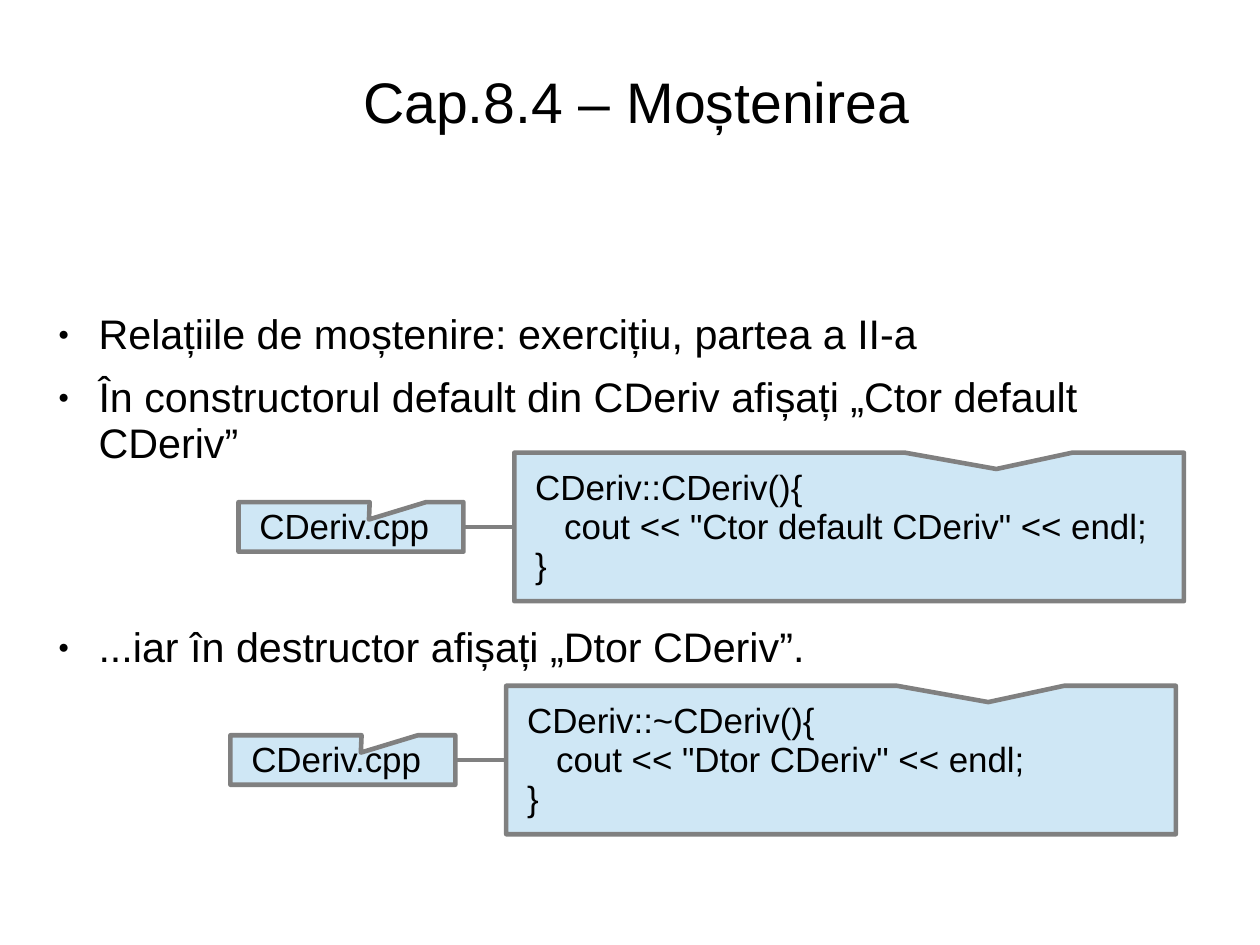
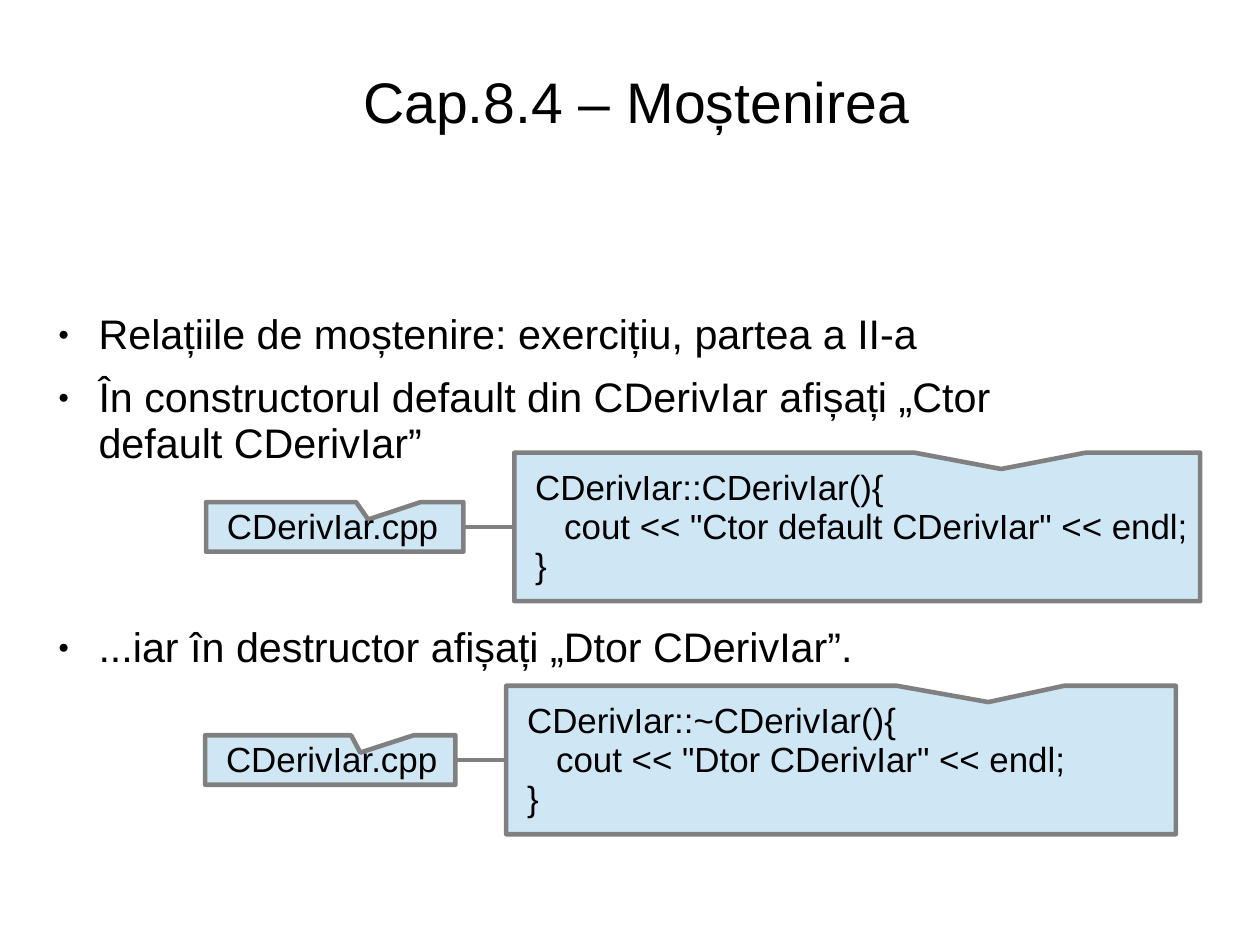
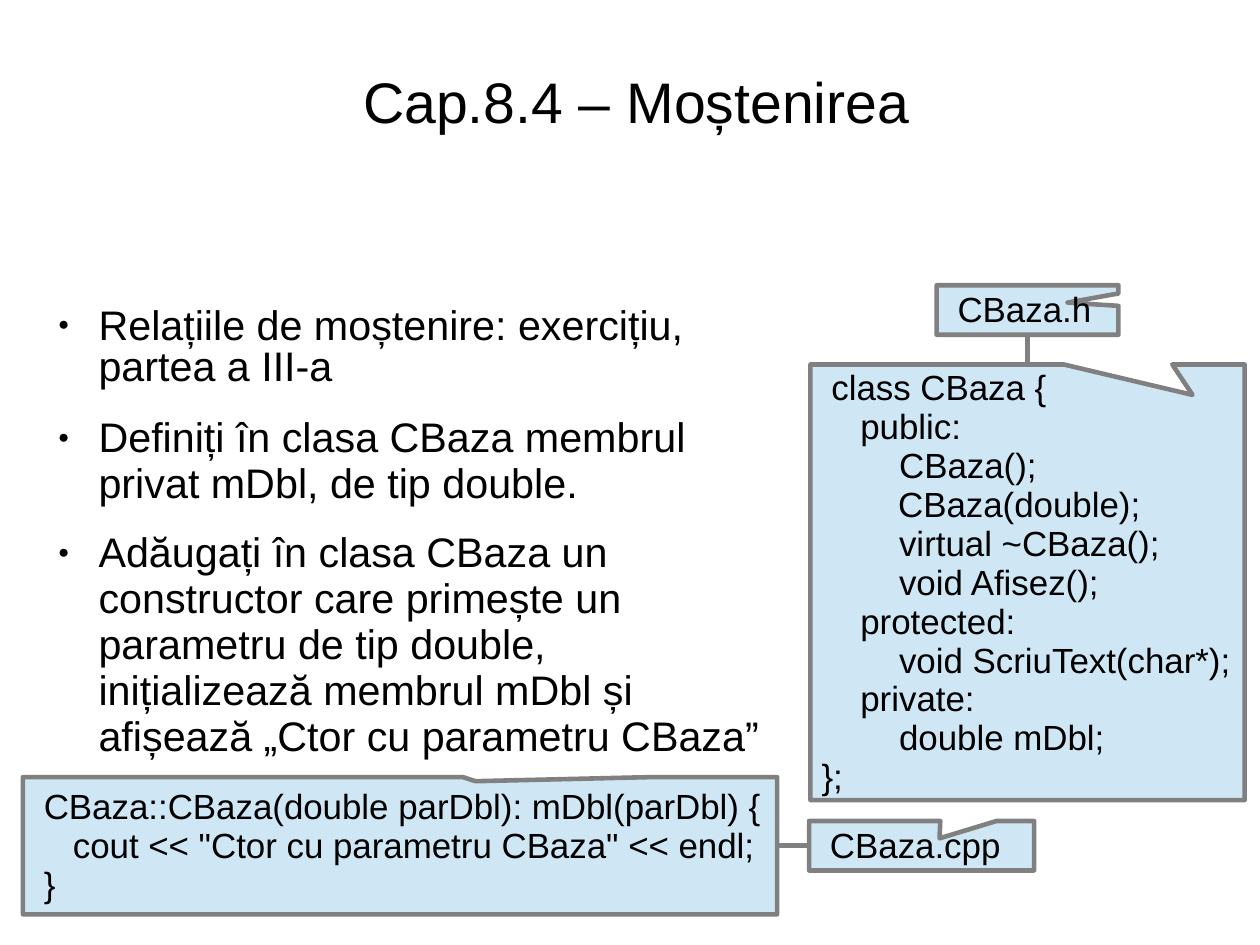
from lxml import etree
from pptx import Presentation
from pptx import util as u
from pptx.dml.color import RGBColor
from pptx.enum import shapes, text
from pptx.oxml import ns

BLACK = RGBColor(0x00, 0x00, 0x00)
GRAY = RGBColor(0x80, 0x80, 0x80)
PALE_BLUE = RGBColor(0xCF, 0xE7, 0xF5)
FONT = "Arial"
SPACING = 0.93
LINE_WIDTH = u.Pt(2.89)
LABEL_HEIGHT = 1.1
TOP, LEFT, BOTTOM, RIGHT = range(4)


def add_xml(parent, tag, **attrs):
    child = etree.SubElement(parent, ns.qn(tag))
    for name, value in attrs.items():
        child.set(name, value)
    return child


def place(sp, box):
    sp.left, sp.top, sp.width, sp.height = (u.Cm(v) for v in box)


def set_frame(tf, margins, anchor, wrap):
    tf.auto_size = text.MSO_AUTO_SIZE.NONE
    tf.word_wrap = wrap
    tf.vertical_anchor = anchor
    tf.margin_left, tf.margin_top, tf.margin_right, tf.margin_bottom = (
        u.Cm(v) for v in margins)


def style(p, size, align=text.PP_ALIGN.LEFT, spacing=SPACING, before=0):
    p.alignment = align
    p.line_spacing = spacing
    p.space_before = u.Pt(before)
    p.space_after = u.Pt(0)
    p.font.name = FONT
    p.font.size = u.Pt(size)
    p.font.color.rgb = BLACK


def paragraphs(tf, lines):
    for i, line in enumerate(lines):
        p = tf.paragraphs[0] if i == 0 else tf.add_paragraph()
        p.text = line
        yield p


def add_bullet(p):
    pPr = p._p.get_or_add_pPr()
    pPr.set("marL", str(u.Cm(1.2)))
    pPr.set("indent", str(-u.Cm(0.9)))
    add_xml(add_xml(pPr, "a:buClr"), "a:srgbClr", val=str(BLACK))
    add_xml(pPr, "a:buSzPct", val="45000")
    add_xml(pPr, "a:buFont", typeface=FONT)
    add_xml(pPr, "a:buChar", char="●")


def add_tab(p):
    tabs = add_xml(p._p.get_or_add_pPr(), "a:tabLst")
    add_xml(tabs, "a:tab", pos=str(u.Cm(1.27)), algn="l")


def add_slide(prs, box, items):
    s = prs.slides.add_slide(prs.slide_layouts[1])
    title, body = s.placeholders
    place(title, (0.92, 0.71, 26.44, 3.15))
    set_frame(title.text_frame, (0, 0.08, 0, 0), text.MSO_ANCHOR.MIDDLE, True)
    for p in paragraphs(title.text_frame, ["Cap.8.4 – Moștenirea"]):
        style(p, 36, text.PP_ALIGN.CENTER)
    place(body, box)
    set_frame(body.text_frame, (0, 0.08, 0, 0), text.MSO_ANCHOR.TOP, True)
    lines = [line for line, _, _ in items]
    for p, (_, before, spacing) in zip(paragraphs(body.text_frame, lines), items):
        add_bullet(p)
        style(p, 26, spacing=spacing, before=before)
    return s


def add_callout(s, box, tip, lines):
    sp = s.shapes.add_shape(shapes.MSO_SHAPE.RECTANGULAR_CALLOUT,
                            *(u.Cm(v) for v in box))
    sp.adjustments[0], sp.adjustments[1] = tip
    sp.shadow.inherit = False
    sp.fill.solid()
    sp.fill.fore_color.rgb = PALE_BLUE
    sp.line.color.rgb = GRAY
    sp.line.width = LINE_WIDTH
    set_frame(sp.text_frame, (0.25, 0.18, 0.25, 0.13), text.MSO_ANCHOR.MIDDLE, False)
    for p in paragraphs(sp.text_frame, lines):
        add_tab(p)
        style(p, 22)
    return sp


def add_link(s, start, start_side, end, end_side):
    c = s.shapes.add_connector(shapes.MSO_CONNECTOR.STRAIGHT, 0, 0, 0, 0)
    c.begin_connect(start, start_side)
    c.end_connect(end, end_side)
    c.line.color.rgb = GRAY
    c.line.width = LINE_WIDTH
    add_xml(c._element.spPr, "a:effectLst")


def add_code(s, box, tip, lines, file_name, file_width, file_tip, side, gap):
    x, y, w, h = box
    middle = y + (h - LABEL_HEIGHT) / 2
    file_x, file_y, file_side = {
        LEFT: (x - gap - file_width, middle, RIGHT),
        RIGHT: (x + w + gap, middle, LEFT),
        TOP: (x + (w - file_width) / 2, y - gap - LABEL_HEIGHT, BOTTOM),
    }[side]
    label = add_callout(s, (file_x, file_y, file_width, LABEL_HEIGHT),
                        (file_tip, -0.15), [" " + file_name])
    code = add_callout(s, box, tip, lines)
    add_link(s, label, file_side, code, side)


def add_derived_slide(prs, name, body_width, ctor, dtor):
    s = add_slide(prs, (0.99, 6.86, body_width, 10.1), [
        ("Relațiile de moștenire: exercițiu, partea a II-a", 0, SPACING),
        (f"În constructorul default din {name} afișați „Ctor default {name}”",
         10.7, SPACING),
        (f"...iar în destructor afișați „Dtor {name}”.", 100, SPACING),
    ])
    members = [
        (11.43, 10.06, "", "Ctor default", ctor),
        (11.25, 15.24, "~", "Dtor", dtor),
    ]
    for x, y, prefix, message, (width, tip_x, file_width, file_tip) in members:
        lines = [f" {name}::{prefix}{name}(){{",
                 f'    cout << "{message} {name}" << endl;',
                 " }"]
        add_code(s, (x, y, width, 3.3), (tip_x, -0.39), lines,
                 f"{name}.cpp", file_width, file_tip, LEFT, 1.13)


def add_base_slide(prs):
    s = add_slide(prs, (0.99, 6.76, 16.05, 10.2), [
        ("Relațiile de moștenire: exercițiu, partea a III-a", 0, 0.83),
        ("Definiți în clasa CBaza membrul privat mDbl, de tip double.",
         16.4, SPACING),
        ("Adăugați în clasa CBaza un constructor care primește un parametru "
         "de tip double, inițializează membrul mDbl și afișează "
         "„Ctor cu parametru CBaza”", 14.1, SPACING),
    ])
    add_code(s, (18.01, 8.1, 9.65, 9.68), (0.38, -0.43), [
        " class CBaza {",
        "    public:",
        "        CBaza();",
        "\t  CBaza(double);",
        "        virtual ~CBaza();",
        "        void Afisez();",
        "    protected:",
        "        void ScriuText(char*);",
        "    private:",
        "        double mDbl;",
        "};",
    ], "CBaza.h", 4.04, 0.22, TOP, 0.66)
    add_code(s, (0.51, 17.27, 16.76, 3.05), (0.1, -0.47), [
        " CBaza::CBaza(double parDbl): mDbl(parDbl) {",
        '    cout << "Ctor cu parametru CBaza" << endl;',
        " }",
    ], "CBaza.cpp", 5, 0.08, RIGHT, 0.71)


def main():
    prs = Presentation()
    prs.slide_width, prs.slide_height = u.Cm(28), u.Cm(21)
    add_derived_slide(prs, "CDeriv", 23.65,
                      (14.88, 0.22, 5, 0.08), (14.88, 0.22, 5, 0.08))
    add_derived_slide(prs, "CDerivIar", 22.89,
                      (15.24, 0.21, 5.72, 0.13), (14.88, 0.22, 5.56, 0.12))
    add_base_slide(prs)
    prs.save("out.pptx")


if __name__ == "__main__":
    main()
